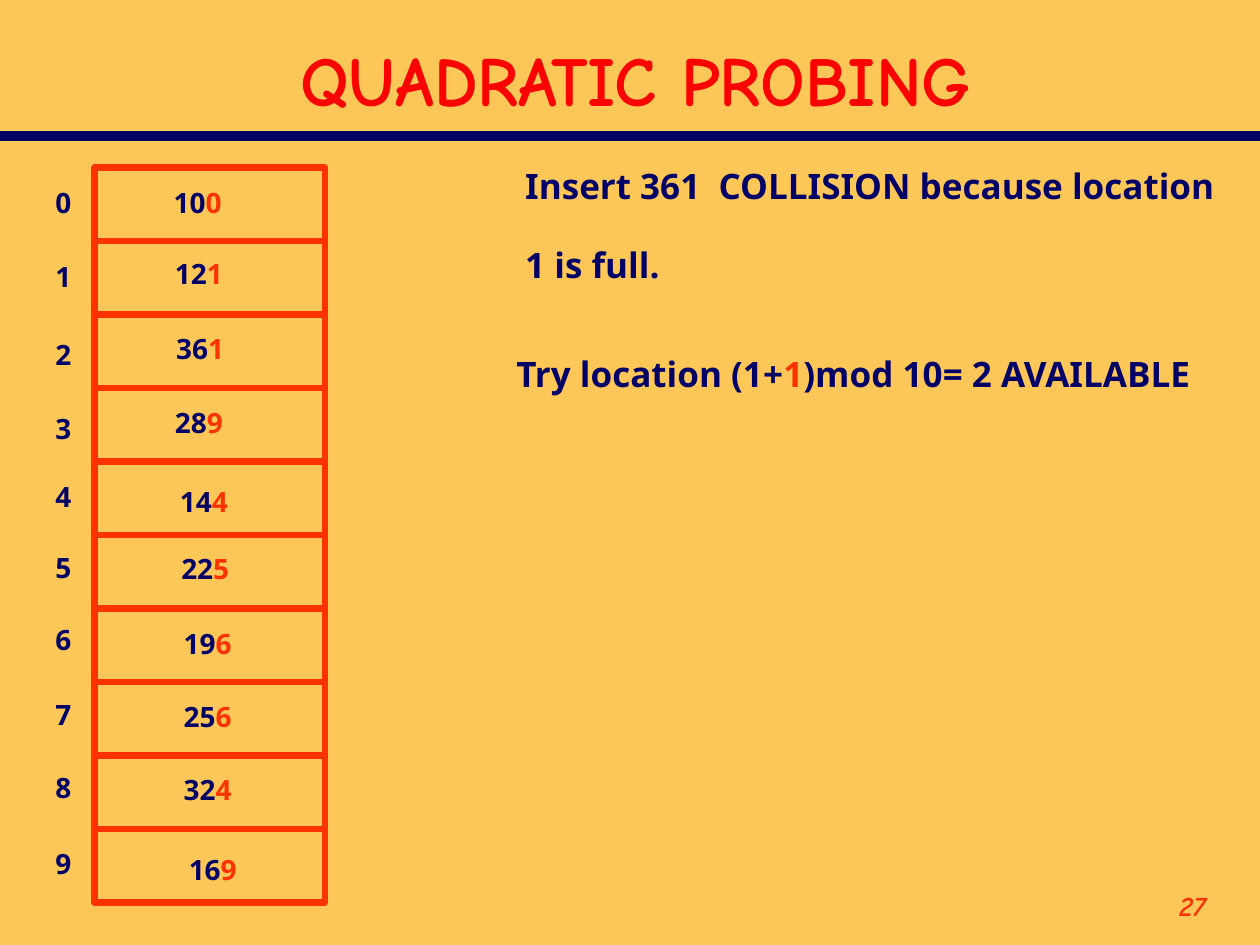
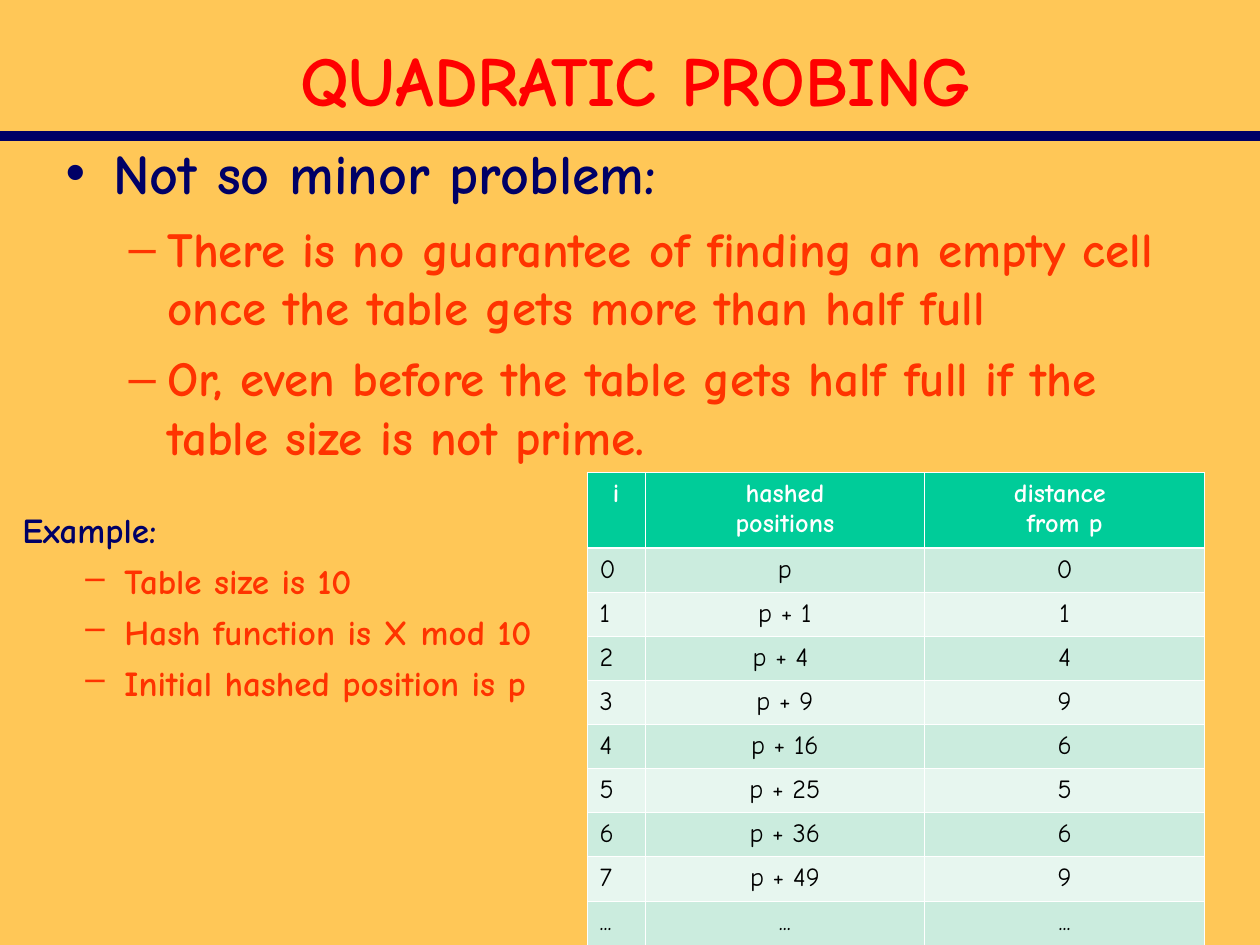
"""Build two slides on quadratic probing in hash tables."""
import pptx
import pptx.dml.color
import pptx.enum.shapes
import pptx.enum.text
import pptx.oxml
import pptx.oxml.ns
import pptx.util

Inches = pptx.util.Inches
Pt = pptx.util.Pt
ALIGN = pptx.enum.text.PP_ALIGN

NAVY, ORANGE, RED = "000066", "FF3300", "FF0000"
SAND, WHITE, BLACK = "FFC757", "FFFFFF", "000000"
HEADER_GREEN, ROW_TINTS = "00CC99", ("CBECDE", "E7F6EF")
SANS = {"name": "Noto Sans", "bold": True}
COMIC = {"name": "Comic Neue", "bold": True}
TOPIC = "QUADRATIC PROBING"


def rgb(value):
    return pptx.dml.color.RGBColor.from_string(value)


def apply(target, values):
    for key, value in values.items():
        setattr(target, key, value)


def element(tag, parent, **attributes):
    child = pptx.oxml.parse_xml(f"<a:{tag} {pptx.oxml.ns.nsdecls('a')}/>")
    for key, value in attributes.items():
        child.set(key, str(value))
    parent.append(child)
    return child


class Deck:
    def __init__(self):
        self.prs = pptx.Presentation()
        self.prs.slide_width, self.prs.slide_height = Inches(10), Inches(7.5)
        background = self.prs.slide_master.background.fill
        background.solid()
        background.fore_color.rgb = rgb(SAND)
        self.slide = None

    def new_slide(self, layout, title):
        self.slide = self.prs.slides.add_slide(self.prs.slide_layouts[layout])
        self.band()
        heading = self.slide.shapes.title
        self.place(heading, 0.42, 0.25, 9.25, 0.75)
        heading.text_frame.vertical_anchor = pptx.enum.text.MSO_ANCHOR.MIDDLE
        self.paragraph(heading.text_frame, [(title, RED)], 40, COMIC,
                       {"alignment": ALIGN.CENTER})

    def band(self):
        band = self.slide.shapes.add_connector(
            pptx.enum.shapes.MSO_CONNECTOR.STRAIGHT,
            0, Inches(1.08), Inches(10), Inches(1.08))
        band.line.color.rgb = rgb(NAVY)
        band.line.width = Pt(6)
        element("effectLst", band.element.spPr)

    def place(self, holder, left, top, width, height):
        apply(holder, {"left": Inches(left), "top": Inches(top),
                       "width": Inches(width), "height": Inches(height)})
        apply(holder.text_frame, {"word_wrap": True,
                                  "auto_size": pptx.enum.text.MSO_AUTO_SIZE.NONE})

    def paragraph(self, frame, runs, size, font, layout=None):
        first = frame.paragraphs[0]
        line = frame.add_paragraph() if first.runs else first
        apply(line, layout or {})
        for text, colour in runs:
            run = line.add_run()
            run.text = text
            apply(run.font, {**font, "size": Pt(size)})
            run.font.color.rgb = rgb(colour)
        return line

    def bullet(self, frame, text, size, level, space):
        mark, colour, margin, indent = (("•", NAVY, 0.38, -0.38),
                                        ("–", ORANGE, 0.81, -0.31))[level]
        line = self.paragraph(frame, [(text, colour)], size, COMIC,
                              {"level": level, "space_before": Pt(space)})
        properties = line._p.get_or_add_pPr()
        properties.set("marL", str(Inches(margin)))
        properties.set("indent", str(Inches(indent)))
        element("srgbClr", element("buClr", properties), val=colour)
        element("buChar", properties, char=mark)

    def text(self, box, lines, size, font, wrap=False, **layout):
        frame = self.slide.shapes.add_textbox(*map(Inches, box)).text_frame
        frame.word_wrap = wrap
        for runs in lines:
            line = self.paragraph(frame, runs, size, font, layout)
        return frame, line

    def slot(self, left, top, width, height):
        slot = self.slide.shapes.add_shape(
            pptx.enum.shapes.MSO_SHAPE.RECTANGLE,
            *map(Inches, (left, top, width, height)))
        slot.shadow.inherit = False
        slot.fill.background()
        slot.line.color.rgb = rgb(ORANGE)
        slot.line.width = Pt(3.5)

    def cell(self, cell, text, font, colour, fill, align, edges):
        properties = cell._tc.get_or_add_tcPr()
        for side, width in edges.items():
            edge = element(f"ln{side}", properties, w=Pt(width))
            element("srgbClr", element("solidFill", edge), val=WHITE)
        cell.fill.solid()
        cell.fill.fore_color.rgb = rgb(fill)
        for line in text.split("\n"):
            self.paragraph(cell.text_frame, [(line, colour)], 15, font,
                           {"alignment": align})

    def table(self, box, widths, heights, rows):
        grid = self.slide.shapes.add_table(
            len(rows), len(widths), *map(Inches, box)).table
        for column, width in zip(grid.columns, widths):
            column.width = Inches(width)
        for r, (row, height) in enumerate(zip(rows, heights)):
            grid.rows[r].height = Inches(height)
            header = r == 0
            fill = HEADER_GREEN if header else ROW_TINTS[(r - 1) % 2]
            edges = {"L": 0.45, "R": 0.45, "T": 1.47 if r == 1 else 0.45,
                     "B": 1.47 if header else 0.45}
            for c, text in enumerate(row):
                self.cell(grid.cell(r, c), text, {**COMIC, "bold": header},
                          WHITE if header else BLACK, fill,
                          ALIGN.CENTER if header or c else ALIGN.LEFT, edges)


def insertion_slide(deck):
    deck.new_slide(5, TOPIC)
    deck.text((8.67, 7, 1, 0.5), [[("27", ORANGE)]], 16,
              {**COMIC, "italic": True}, True, alignment=ALIGN.RIGHT)
    entries = [
        ("100", 1.42, 1.28, 1.42), ("121", 2.01, 1.29, 1.99),
        ("361", 2.63, 1.3, 2.58), ("289", 3.22, 1.29, 3.17),
        ("144", 3.76, 1.33, 3.8), ("225", 4.32, 1.34, 4.33),
        ("196", 4.89, 1.36, 4.92), ("256", 5.49, 1.36, 5.5),
        ("324", 6.07, 1.36, 6.08), ("169", 6.67, 1.4, 6.72)]
    slot_height = 5.25 / 9
    for location, (key, label_top, key_left, key_top) in enumerate(entries):
        deck.slot(0.75, 1.33 + location * slot_height, 1.83, slot_height)
        deck.text((0.34, label_top, 0.32, 0.37),
                  [[(str(location), NAVY)]], 16, SANS)
        deck.text((key_left, key_top, 0.58, 0.37),
                  [[(key[:2], NAVY), (key[2], ORANGE)]], 16, SANS)
    _, outcome = deck.text(
        (4.07, 1.26, 5.68, 1.1),
        [[("Insert 361  COLLISION because location", NAVY)],
         [("1 is full.", NAVY)]], 20, SANS)
    outcome.space_before = Pt(21)
    deck.text((4, 2.75, 5.58, 0.77),
              [[("Try location (1+", NAVY), ("1", ORANGE),
                (")mod 10= 2 AVAILABLE", NAVY)]], 20, SANS, True)


def problem_slide(deck):
    deck.new_slide(1, TOPIC)
    problem = deck.slide.placeholders[1]
    deck.place(problem, 0.42, 1.05, 9.25, 2.94)
    deck.bullet(problem.text_frame, "Not so minor problem:", 32, 0, 8)
    for reason in (
            "There is no guarantee of finding an empty cell once the table "
            "gets more than half full",
            "Or, even before the table gets half full if the table size is "
            "not prime."):
        deck.bullet(problem.text_frame, reason, 28, 1, 7)

    probes = [("i", "hashed\npositions", "distance \nfrom p"), ("0", "p", "0")]
    for i in range(1, 8):
        tail = " " if i == 2 else ""
        probes.append((str(i), f"p + {i * i}{tail}", str(i * i % 10)))
    probes.append(("...",) * 3)
    deck.table((4.66, 3.75, 4.91, 3.75), (0.46, 2.22, 2.22),
               [0.6] + [0.35] * 9, probes)

    example, _ = deck.text((0.08, 3.99, 4.84, 2.94), [[("Example:", NAVY)]],
                           20, COMIC, True, space_before=Pt(5))
    for fact in ("Table size is 10", "Hash function is X mod 10",
                 "Initial hashed position is p"):
        deck.bullet(example, fact, 20, 1, 5)


def main():
    deck = Deck()
    insertion_slide(deck)
    problem_slide(deck)
    deck.prs.save("out.pptx")


if __name__ == "__main__":
    main()
